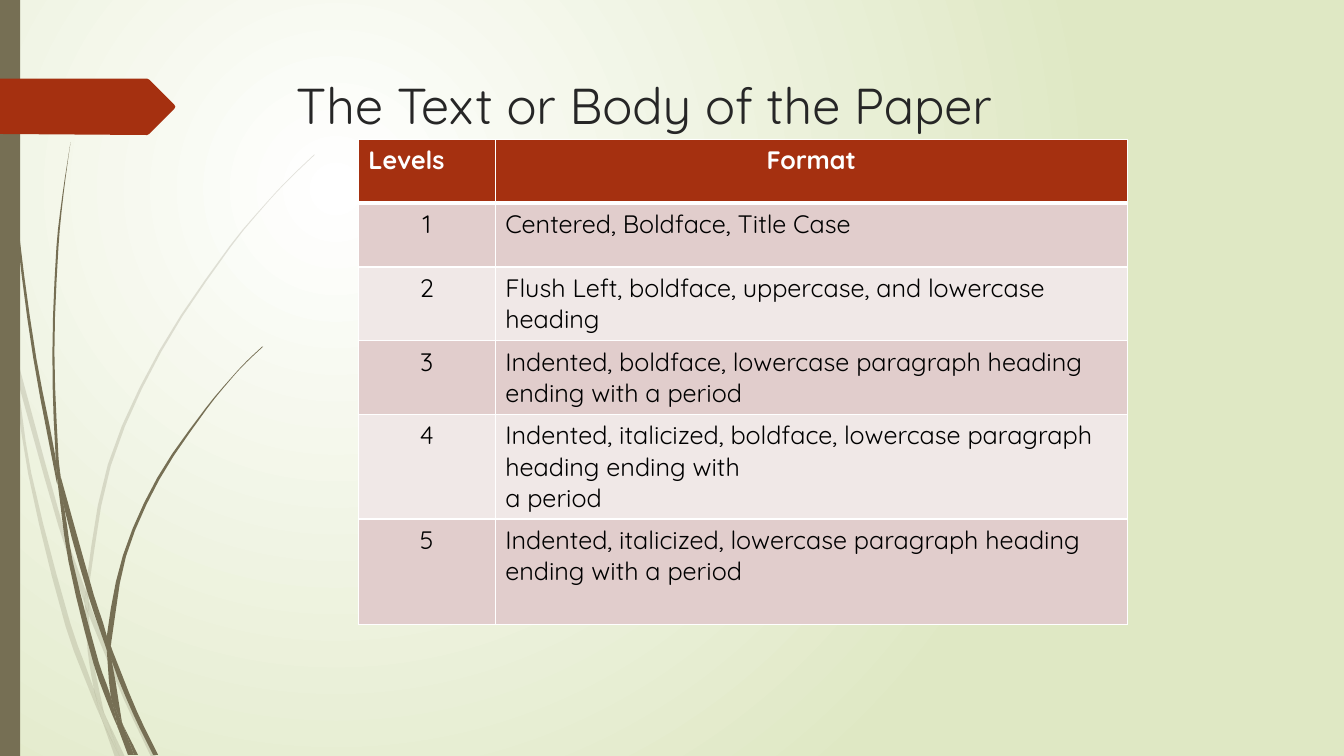
from lxml import etree
from pptx import Presentation
from pptx import util as u
from pptx.dml.color import RGBColor
from pptx.enum import shapes, text
from pptx.oxml import ns

COLORS = {"olive": "766F54", "rust": "A53010", "title": "262626",
          "white": "FFFFFF", "black": "000000", "pale": "DFE8C4",
          "odd": "E1CDCC", "even": "F0E8E7"}
UNIT = 2.54  # centimetres per unit of the outline coordinates

# Pieces of grass: one edge and the other, both from the tip towards the root.
FADED_GRASS = [
    ([(0, 2.82), (.09, 3.22), (.11, 3.5)], [(0, 2.99), (.1, 3.44), (.11, 3.5)]),
    ([(.14, 3.45), (.62, 5.2), (.85, 5.86)], [(.17, 3.76), (.58, 5.22), (.84, 5.99)]),
    ([(.88, 5.96), (.92, 6.07), (1.27, 6.92), (1.55, 7.51)],
     [(.88, 6.1), (1.23, 6.94), (1.5, 7.51)]),
    ([(1.05, 7.11), (1.24, 7.51)], [(1.05, 7.11), (1.19, 7.51)]),
    ([(.11, 3.5), (.17, 3.76), (.31, 4.69), (.7, 6.19), (.93, 6.83), (.99, 7.07), (1.01, 7.14)],
     [(.11, 3.5), (.28, 4.7), (.65, 6.21), (.92, 6.93), (1.01, 7.14)]),
    ([(.84, 5.99), (.88, 6.1), (.91, 6.46), (1.03, 7.06), (1.05, 7.11)],
     [(.84, 5.99), (.87, 6.46), (.93, 6.83), (.96, 6.92), (1.05, 7.11)]),
    ([(3.12, 1.53), (2.89, 1.75), (2.68, 1.97), (2.28, 2.44), (1.58, 3.48), (1.07, 4.61),
      (.85, 5.84), (.88, 5.96)],
     [(3.12, 1.54), (2.9, 1.75), (2.68, 1.98), (2.29, 2.45), (1.6, 3.49), (1.1, 4.62),
      (.88, 5.84), (.88, 5.96)]),
    ([(1.01, 7.14), (1.19, 7.51)], [(1.01, 7.14), (1.14, 7.51)]),
    ([(.85, 5.86), (.88, 5.96), (.88, 6.1)], [(.85, 5.86), (.84, 5.99), (.88, 6.1)]),
    ([(.93, 6.83), (.96, 6.92), (1.05, 7.11), (1.19, 7.51)],
     [(.93, 6.83), (.99, 7.07), (1.01, 7.14), (1.19, 7.51)]),
]
DARK_GRASS = [
    ([(.04, 0), (.05, .48), (.08, 1.09), (.19, 2.32), (.36, 3.55), (.55, 4.53), (.57, 4.81)],
     [(.03, 0), (.04, .48), (.07, 1.1), (.17, 2.33), (.33, 3.55), (.56, 4.77), (.57, 4.81)]),
    ([(.6, 4.72), (.93, 5.9), (1.06, 6.31), (1.06, 6.45)],
     [(.6, 4.72), (.64, 5.05), (.88, 5.92), (1.06, 6.45)]),
    ([(1.1, 6.41), (1.13, 6.49), (1.36, 7.06), (1.57, 7.49)],
     [(1.1, 6.41), (1.11, 6.56), (1.32, 7.08), (1.52, 7.49)]),
    ([(.57, 4.77), (.64, 5.05), (.72, 5.56), (.98, 6.57), (1.1, 6.91), (1.17, 7.22)],
     [(.57, 4.77), (.68, 5.57), (.93, 6.59), (1.11, 7.08), (1.17, 7.22)]),
    ([(.7, 1.41), (.63, 1.93), (.58, 2.45), (.54, 3.49), (.58, 4.53), (.6, 4.72)],
     [(.7, 1.41), (.62, 1.93), (.56, 2.45), (.52, 3.49), (.55, 4.49), (.6, 4.72)]),
    ([(1.22, 7.19), (1.37, 7.49)], [(1.22, 7.19), (1.33, 7.49)]),
    ([(.55, 4.49), (.6, 4.72), (.64, 5.05)], [(.55, 4.49), (.57, 4.77), (.64, 5.05)]),
    ([(2.61, 3.44), (2.45, 3.59), (2.31, 3.74), (2.05, 4.06), (1.58, 4.76), (1.25, 5.52),
      (1.11, 6.33), (1.1, 6.41)],
     [(2.6, 3.44), (2.45, 3.58), (2.31, 3.73), (2.04, 4.05), (1.56, 4.74), (1.22, 5.51),
      (1.06, 6.31), (1.1, 6.41)]),
    ([(1.17, 7.22), (1.31, 7.49)], [(1.17, 7.22), (1.27, 7.49)]),
    ([(1.06, 6.45), (1.11, 6.56), (1.21, 7.16), (1.22, 7.19)],
     [(1.06, 6.45), (1.1, 6.91), (1.16, 7.06), (1.22, 7.19)]),
    ([(1.06, 6.31), (1.1, 6.41), (1.11, 6.56)], [(1.06, 6.31), (1.06, 6.45), (1.11, 6.56)]),
    ([(1.1, 6.91), (1.16, 7.06), (1.22, 7.19), (1.33, 7.49)],
     [(1.1, 6.91), (1.16, 7.17), (1.17, 7.22), (1.3, 7.49)]),
]
ARROW = [(0, .78), (1.46, .78), (1.48, .79), (1.73, 1.04), (1.74, 1.06), (1.73, 1.08),
         (1.48, 1.33), (1.46, 1.34), (0, 1.33)]

LEVELS = [
    ("Levels", "Format"),
    ("1", "Centered, Boldface, Title Case"),
    ("2", "Flush Left, boldface, uppercase, and lowercase heading"),
    ("3", "Indented, boldface, lowercase paragraph heading ending with a period"),
    ("4", "Indented, italicized, boldface, lowercase paragraph heading ending with\na period"),
    ("5", "Indented, italicized, lowercase paragraph heading ending with a period"),
]


def rgb(name):
    """Return the named colour."""
    return RGBColor.from_string(COLORS[name])


def sub(parent, tag, **attrs):
    """Append a DrawingML element to parent."""
    return etree.SubElement(parent, ns.qn(tag), **attrs)


def smooth(points, steps=3):
    """Run a smooth curve through the points."""
    pts = [complex(*xy) for xy in points]
    ways = [c - a for a, c in zip(pts[:1] + pts, pts[1:] + pts[-1:])]
    curve = pts[:1]
    for p, q, start, end in zip(pts, pts[1:], ways, ways[1:]):
        third = abs(q - p) / 3
        c1, c2 = p + start / abs(start) * third, q - end / abs(end) * third
        for t in (i / steps for i in range(1, steps + 1)):
            v = 1 - t
            curve.append(v**3 * p + 3 * v * v * t * c1 + 3 * v * t * t * c2 + t**3 * q)
    return [(z.real, z.imag) for z in curve]


class Deck:
    """Holds the style and the current slide."""
    font = "Quicksand"

    def __init__(self, prs):
        """Add a blank slide."""
        self.s = prs.slides.add_slide(prs.slide_layouts[6])

    def background(self, inner, outer):
        """Fill the background with a radial gradient."""
        fill = self.s.background.fill
        fill.gradient()
        for stop, name in zip(fill.gradient_stops, (inner, outer)):
            stop.color.rgb = rgb(name)
        grad = next(self.s._element.iter(ns.qn("a:gradFill")))
        grad.remove(grad.find(ns.qn("a:lin")))
        circle = sub(grad, "a:path", path="circle")
        sub(circle, "a:fillToRect", l="50000", t="50000", r="100000", b="100000")

    def paint(self, sp, color, opacity=100):
        """Give a shape a flat fill without line or shadow."""
        sp.shadow.inherit = False
        sp.fill.solid()
        sp.fill.fore_color.rgb = rgb(color)
        sp.line.fill.background()
        if opacity < 100:
            clr = next(sp._element.spPr.iter(ns.qn("a:srgbClr")))
            sub(clr, "a:alpha", val=str(opacity * 1000))

    def outline(self, points, color, opacity=100, parent=None):
        """Draw a closed outline on the slide or in a group."""
        start, *rest = [(u.Cm(x * UNIT), u.Cm(y * UNIT)) for x, y in points]
        builder = (parent or self.s).shapes.build_freeform(*start)
        builder.add_line_segments(rest)
        self.paint(builder.convert_to_shape(), color, opacity)

    def grass(self, pieces, opacity=100):
        """Draw a group of grass pieces."""
        group = self.s.shapes.add_group_shape()
        for one, other in pieces:
            self.outline(smooth(one) + smooth(other)[::-1], "olive", opacity, group)

    def bar(self, x, y, w, h, color):
        """Add a flat rectangle."""
        sp = self.s.shapes.add_shape(shapes.MSO_SHAPE.RECTANGLE, u.Cm(x), u.Cm(y), u.Cm(w), u.Cm(h))
        self.paint(sp, color)

    def style(self, tf, size, color, bold=False, align=text.PP_ALIGN.LEFT):
        """Format all text of a frame."""
        for p in tf.paragraphs:
            p.alignment = align
            for r in p.runs:
                r.font.name, r.font.size, r.font.bold = self.font, u.Pt(size), bold
                r.font.color.rgb = rgb(color)

    def title(self, words, x, y, w, h):
        """Add the title."""
        tf = self.s.shapes.add_textbox(u.Cm(x), u.Cm(y), u.Cm(w), u.Cm(h)).text_frame
        tf.word_wrap = True
        tf.text = words
        self.style(tf, 36, "title")

    def borders(self, cell, top, bottom):
        """Draw white cell borders; top and bottom widths in points."""
        tcPr = cell._tc.get_or_add_tcPr()
        for side, width in zip("LRTB", (1, 1, top, bottom)):
            ln = sub(tcPr, "a:ln" + side, w=str(u.Pt(width)))
            sub(sub(ln, "a:solidFill"), "a:srgbClr", val=COLORS["white"])

    def table(self, rows, x, y, widths, heights):
        """Add a banded table with a header row."""
        tbl = self.s.shapes.add_table(len(rows), len(widths), u.Cm(x), u.Cm(y),
                                      u.Cm(sum(widths)), u.Cm(sum(heights))).table
        for col, w in zip(tbl.columns, widths):
            col.width = u.Cm(w)
        for i, (row, h) in enumerate(zip(rows, heights)):
            tbl.rows[i].height = u.Cm(h)
            header = i == 0
            for j, words in enumerate(row):
                cell = tbl.cell(i, j)
                cell.text_frame.text = words
                centred = header == (j == 1)
                self.style(cell.text_frame, 18, "white" if header else "black", header,
                           text.PP_ALIGN.CENTER if centred else text.PP_ALIGN.LEFT)
                self.borders(cell, 3 if i == 1 else 1, 3 if header else 1)
                cell.fill.solid()
                cell.fill.fore_color.rgb = rgb("rust" if header else "odd" if i % 2 else "even")


prs = Presentation()
prs.slide_width, prs.slide_height = u.Cm(33.87), u.Cm(19.05)
deck = Deck(prs)
deck.background("white", "pale")
deck.grass(FADED_GRASS, 20)
deck.grass(DARK_GRASS)
deck.bar(0, 0, 0.51, 19.05, "olive")
deck.outline(ARROW, "rust")
deck.title("The Text or Body of the Paper", 7.21, 1.75, 24.77, 3.56)
deck.table(LEVELS, 9.03, 3.51, (3.45, 15.93), (1.61, 1.61, 1.86, 1.85, 2.64, 2.65))
prs.save("out.pptx")
